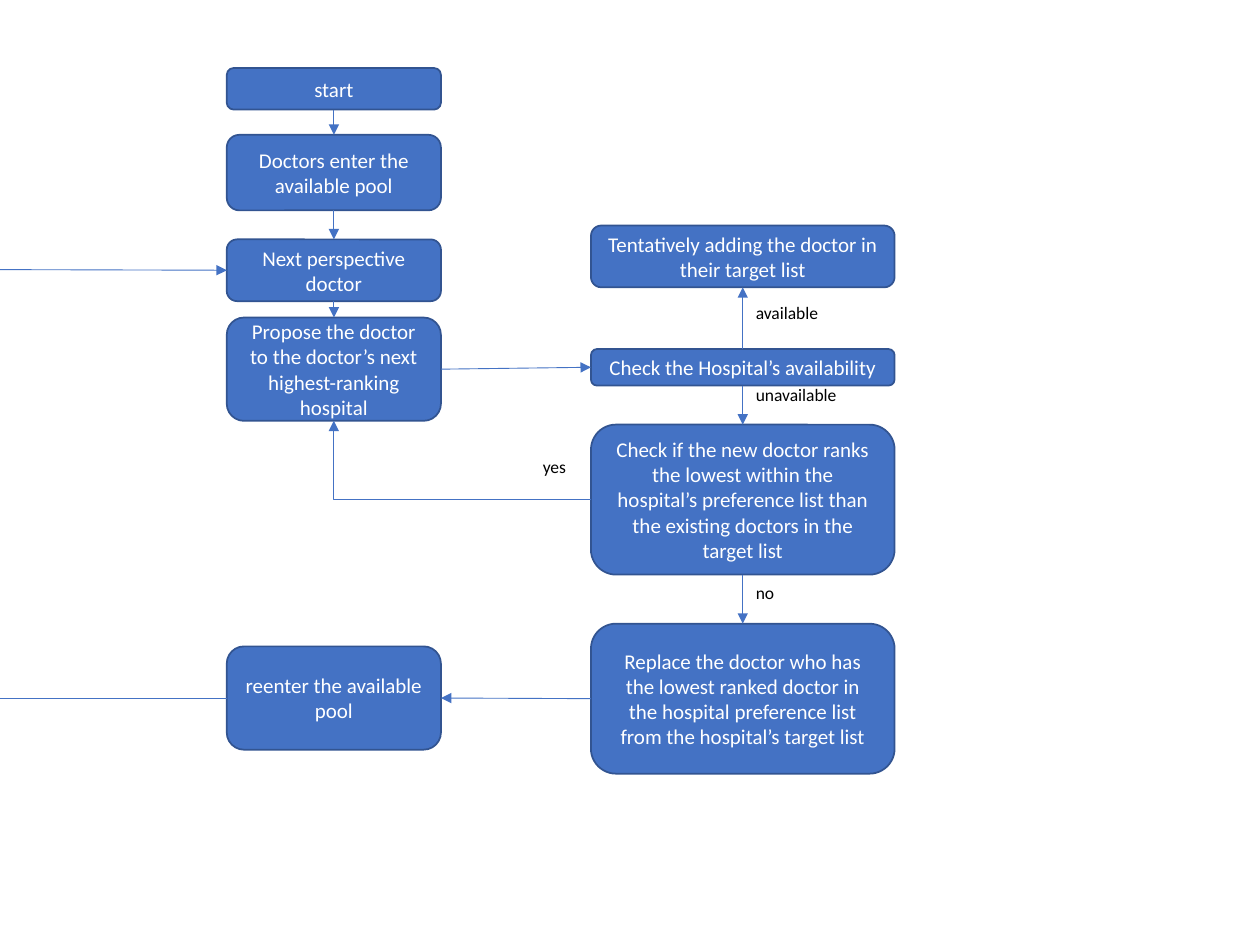
import pptx
import pptx.dml.color
import pptx.enum.shapes
import pptx.enum.text
import pptx.oxml.ns
import pptx.util
from lxml import etree

Inches, Pt = pptx.util.Inches, pptx.util.Pt
RGB = pptx.dml.color.RGBColor.from_string
PP_ALIGN = pptx.enum.text.PP_ALIGN
CONNECTOR = pptx.enum.shapes.MSO_CONNECTOR
qn = pptx.oxml.ns.qn

THEME = {
    "font": "Calibri",
    "box_fill": RGB("4472C4"), "box_line": RGB("325491"), "arrow": RGB("4472C4"),
    "box_text": RGB("FFFFFF"), "label_text": RGB("000000"),
    "box_size": Pt(12), "label_size": Pt(10),
    "box_width": Pt(1), "arrow_width": Pt(0.5),
}
TOP, LEFT, BOTTOM, RIGHT = range(4)
DOCTOR_COLUMN = (1.8, 1.7)      # left, width
HOSPITAL_COLUMN = (4.69, 2.41)


def write_text(sp, text, size, color, align=PP_ALIGN.LEFT,
               anchor=pptx.enum.text.MSO_ANCHOR.TOP):
    tf = sp.text_frame
    tf.word_wrap = True
    tf.vertical_anchor = anchor
    p = tf.paragraphs[0]
    p.alignment = align
    r = p.add_run()
    r.text = text
    r.font.name = THEME["font"]
    r.font.size = size
    r.font.color.rgb = color


def add_line(kind, start, end, arrow=True):
    """Draw a connector; each end is a (shape, side) pair or an (x, y) point."""
    cxn = s.shapes.add_connector(kind, 0, 0, 0, 0)
    if start[0] in boxes:
        cxn.begin_connect(boxes[start[0]], start[1])
    else:
        cxn.begin_x, cxn.begin_y = start
    if end[0] in boxes:
        cxn.end_connect(boxes[end[0]], end[1])
    else:
        cxn.end_x, cxn.end_y = end
    cxn.line.color.rgb = THEME["arrow"]
    cxn.line.width = THEME["arrow_width"]
    if arrow:
        etree.SubElement(cxn.line._get_or_add_ln(), qn("a:tailEnd"), type="triangle")
    etree.SubElement(cxn._element.spPr, qn("a:effectLst"))
    return cxn


prs = pptx.Presentation()
prs.slide_width, prs.slide_height = Inches(10), Inches(7.5)
s = prs.slides.add_slide(prs.slide_layouts[6])

# Steps: name, column, top, height, text
steps = [
    ("start", DOCTOR_COLUMN, 0.54, 0.33, "start"),
    ("enter", DOCTOR_COLUMN, 1.07, 0.6, "Doctors enter the available pool"),
    ("next", DOCTOR_COLUMN, 1.9, 0.49, "Next perspective doctor"),
    ("propose", DOCTOR_COLUMN, 2.52, 0.82,
     "Propose the doctor to the doctor’s next highest-ranking hospital"),
    ("reenter", DOCTOR_COLUMN, 5.13, 0.82, "reenter the available pool"),
    ("add", HOSPITAL_COLUMN, 1.79, 0.49,
     "Tentatively adding the doctor in their target list"),
    ("check", HOSPITAL_COLUMN, 2.77, 0.29, "Check the Hospital’s availability"),
    ("rank", HOSPITAL_COLUMN, 3.37, 1.19,
     "Check if the new doctor ranks the lowest within the hospital’s preference list "
     "than the existing doctors in the target list"),
    ("replace", HOSPITAL_COLUMN, 4.95, 1.19,
     "Replace the doctor who has the lowest ranked doctor in the hospital preference "
     "list from the hospital’s target list"),
]
boxes = {}
for name, (left, width), top, height, text in steps:
    sp = s.shapes.add_shape(pptx.enum.shapes.MSO_SHAPE.ROUNDED_RECTANGLE,
                            Inches(left), Inches(top), Inches(width), Inches(height))
    sp.shadow.inherit = False
    sp.fill.solid()
    sp.fill.fore_color.rgb = THEME["box_fill"]
    sp.line.color.rgb = THEME["box_line"]
    sp.line.width = THEME["box_width"]
    write_text(sp, text, THEME["box_size"], THEME["box_text"],
               align=PP_ALIGN.CENTER, anchor=pptx.enum.text.MSO_ANCHOR.MIDDLE)
    boxes[name] = sp

# Straight arrows between steps
for start, end in [
    (("start", BOTTOM), ("enter", TOP)),
    (("enter", BOTTOM), ("next", TOP)),
    (("next", BOTTOM), ("propose", TOP)),
    (("propose", RIGHT), ("check", LEFT)),
    (("check", TOP), ("add", BOTTOM)),
    (("check", BOTTOM), ("rank", TOP)),
    (("rank", BOTTOM), ("replace", TOP)),
    (("replace", LEFT), ("reenter", RIGHT)),
]:
    add_line(CONNECTOR.STRAIGHT, start, end)

# The return loop runs through the left edge of the slide
add_line(CONNECTOR.STRAIGHT, ("reenter", LEFT), (0, Inches(5.54)), arrow=False)
add_line(CONNECTOR.STRAIGHT, (0, Inches(2.14)), ("next", LEFT))

# A single bend leads a lowest-ranked doctor back to the proposal
elbow = add_line(CONNECTOR.ELBOW, ("rank", LEFT), ("propose", BOTTOM))
elbow._element.spPr.find(qn("a:prstGeom")).set("prst", "bentConnector2")

# Answers beside the arrows
for text, left, top in [("available", 5.9, 2.35), ("unavailable", 5.9, 3),
                        ("yes", 4.21, 3.57), ("no", 5.9, 4.57)]:
    label = s.shapes.add_textbox(Inches(left), Inches(top), Inches(0.95), Inches(0.27))
    write_text(label, text, THEME["label_size"], THEME["label_text"])

prs.save("out.pptx")
